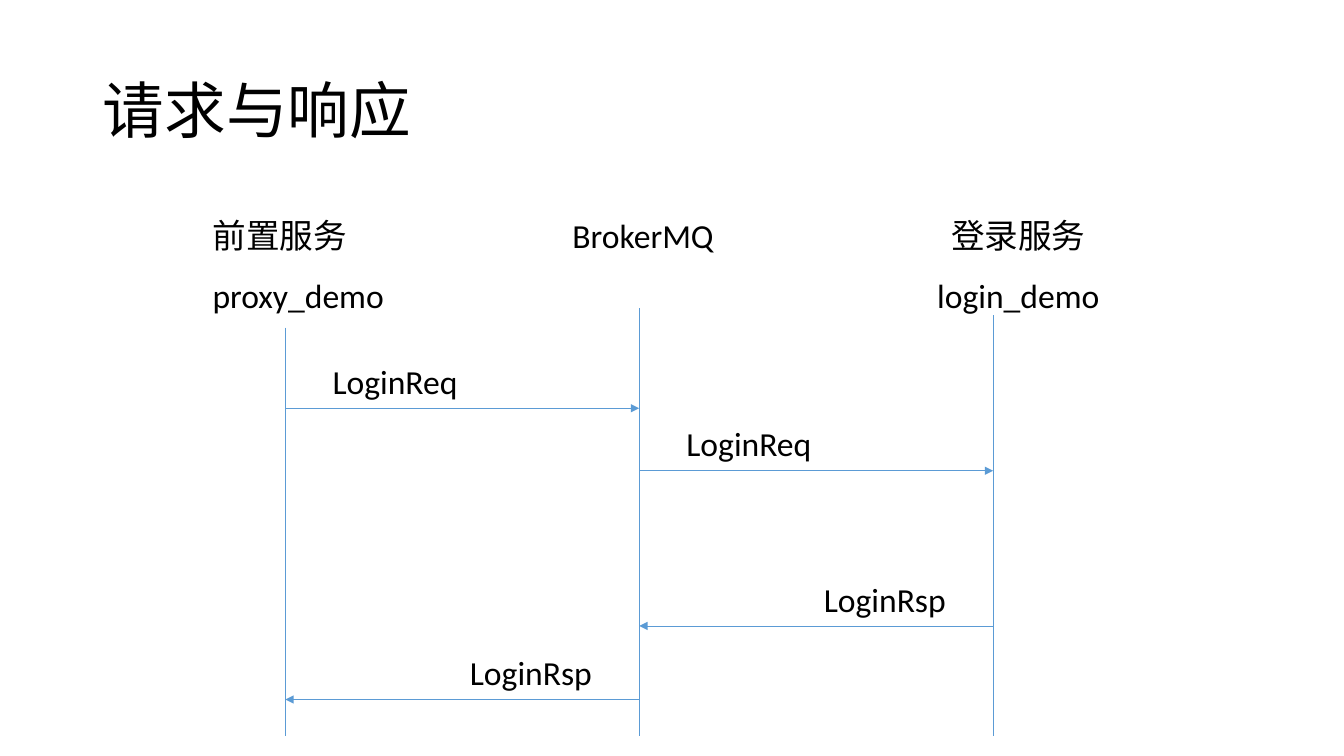
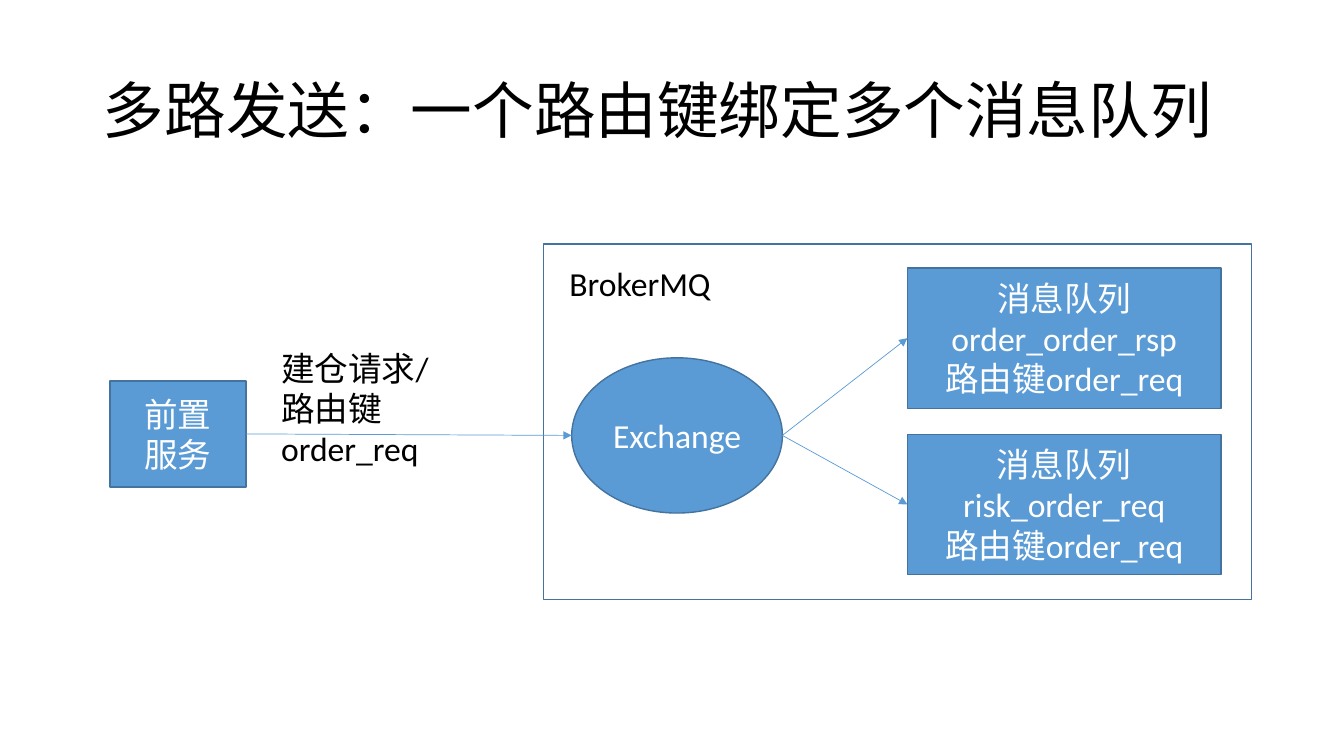
from lxml import etree
from pptx import Presentation
from pptx.dml.color import RGBColor
from pptx.enum import shapes, text
from pptx.oxml.ns import qn
from pptx.util import Inches, Pt

FONT = "Calibri"
BLACK = RGBColor(0x00, 0x00, 0x00)
WHITE = RGBColor(0xFF, 0xFF, 0xFF)
BLUE = RGBColor(0x5B, 0x9B, 0xD5)
DARK_BLUE = RGBColor(0x43, 0x73, 0x9E)
LEFT, CENTER, RIGHT = text.PP_ALIGN.LEFT, text.PP_ALIGN.CENTER, text.PP_ALIGN.RIGHT
RECT, OVAL = shapes.MSO_SHAPE.RECTANGLE, shapes.MSO_SHAPE.OVAL

TITLE_BOX = (0.92, 0.4, 11.5, 1.45)
BROKER = "BrokerMQ"

# Sequence diagram: heading lines, heading left, alignment, lifeline x, lifeline top
PARTICIPANTS = [
    (["前置服务", "proxy_demo"], 2.01, LEFT, 2.83, 3.25),
    ([BROKER], 5.58, LEFT, 6.34, 3.06),
    (["登录服务", "login_demo"], 9.1, CENTER, 9.85, 3.13),
]
LIFELINE_END = 7.3
# Message, sender, receiver, y
MESSAGES = [
    ("LoginReq", 0, 1, 4.05),
    ("LoginReq", 1, 2, 4.67),
    ("LoginRsp", 2, 1, 6.21),
    ("LoginRsp", 1, 0, 6.94),
]
LABEL_W, LABEL_H, LABEL_GAP, LABEL_RISE = 1.6, 0.5, 0.37, 0.52

# Routing diagram
FRAME = (5.39, 2.42, 7.02, 3.53)
SENDER = (1.09, 3.78, 1.35, 1.05)
EXCHANGE = (5.67, 3.55, 2.09, 1.54)
QUEUE_X, QUEUE_Y, QUEUE_W, QUEUE_H, QUEUE_STEP = 9, 2.66, 3.11, 1.39, 1.65
QUEUES = [
    ["消息队列 order_order_rsp", "路由键order_req"],
    ["消息队列risk_order_req", "路由键order_req"],
]


def write(tf, lines, size=24, color=BLACK, align=LEFT, spacing=None):
    tf.word_wrap = True
    for i, line in enumerate(lines):
        p = tf.paragraphs[0] if i == 0 else tf.add_paragraph()
        p.alignment = align
        if spacing:
            p.line_spacing = spacing
        r = p.add_run()
        r.text = line
        r.font.name, r.font.size = FONT, Pt(size)
        r.font.color.rgb = color


def add_titled_slide(prs, title):
    s = prs.slides.add_slide(prs.slide_layouts[5])
    sp = s.shapes.title
    sp.left, sp.top, sp.width, sp.height = map(Inches, TITLE_BOX)
    sp.text_frame.vertical_anchor = text.MSO_ANCHOR.MIDDLE
    write(sp.text_frame, [title], size=44, spacing=0.9)
    return s


def add_label(s, box, lines, **fmt):
    write(s.shapes.add_textbox(*map(Inches, box)).text_frame, lines, **fmt)


def add_box(s, kind, box, lines=(), fill=BLUE):
    sp = s.shapes.add_shape(kind, *map(Inches, box))
    sp.shadow.inherit = False
    if fill is None:
        sp.fill.background()
    else:
        sp.fill.solid()
        sp.fill.fore_color.rgb = fill
    sp.line.color.rgb = DARK_BLUE
    sp.line.width = Pt(1)
    sp.text_frame.vertical_anchor = text.MSO_ANCHOR.MIDDLE
    write(sp.text_frame, lines, color=WHITE, align=CENTER)


def add_line(s, start, end, arrow=False):
    cx = s.shapes.add_connector(shapes.MSO_CONNECTOR.STRAIGHT,
                                *map(Inches, start + end))
    cx.line.color.rgb = BLUE
    cx.line.width = Pt(0.5)
    if arrow:
        ln = cx.line._get_or_add_ln()
        etree.SubElement(ln, qn("a:tailEnd"), type="triangle")
    etree.SubElement(cx._element.spPr, qn("a:effectLst"))


def left_mid(box):
    return box[0], box[1] + box[3] / 2


def right_mid(box):
    return box[0] + box[2], box[1] + box[3] / 2


def build_sequence(prs):
    s = add_titled_slide(prs, "请求与响应")
    for lines, left, align, x, top in PARTICIPANTS:
        add_label(s, (left, 1.88, 2, 1.25), lines, align=align, spacing=1.5)
        add_line(s, (x, top), (x, LIFELINE_END))
    xs = [participant[3] for participant in PARTICIPANTS]
    for message, sender, receiver, y in MESSAGES:
        x = xs[sender]
        add_line(s, (x, y), (xs[receiver], y), arrow=True)
        rightward = receiver > sender
        left = x + LABEL_GAP if rightward else x - LABEL_GAP - LABEL_W
        add_label(s, (left, y - LABEL_RISE, LABEL_W, LABEL_H), [message],
                  align=LEFT if rightward else RIGHT)


def build_routing(prs):
    s = add_titled_slide(prs, "多路发送：一个路由键绑定多个消息队列")
    add_box(s, RECT, FRAME, fill=None)
    add_label(s, (5.55, 2.56, 2, 0.5), [BROKER])
    add_box(s, RECT, SENDER, ["前置", "服务"])
    add_box(s, OVAL, EXCHANGE, ["Exchange"])
    add_line(s, right_mid(SENDER), left_mid(EXCHANGE), arrow=True)
    for i, lines in enumerate(QUEUES):
        box = (QUEUE_X, QUEUE_Y + i * QUEUE_STEP, QUEUE_W, QUEUE_H)
        add_box(s, RECT, box, lines)
        add_line(s, right_mid(EXCHANGE), left_mid(box), arrow=True)
    add_label(s, (2.69, 3.4, 2, 1.3), ["建仓请求/", "路由键order_req"])


def main():
    prs = Presentation()
    prs.slide_width, prs.slide_height = Inches(13.33), Inches(7.5)
    build_sequence(prs)
    build_routing(prs)
    prs.save("out.pptx")


if __name__ == "__main__":
    main()
